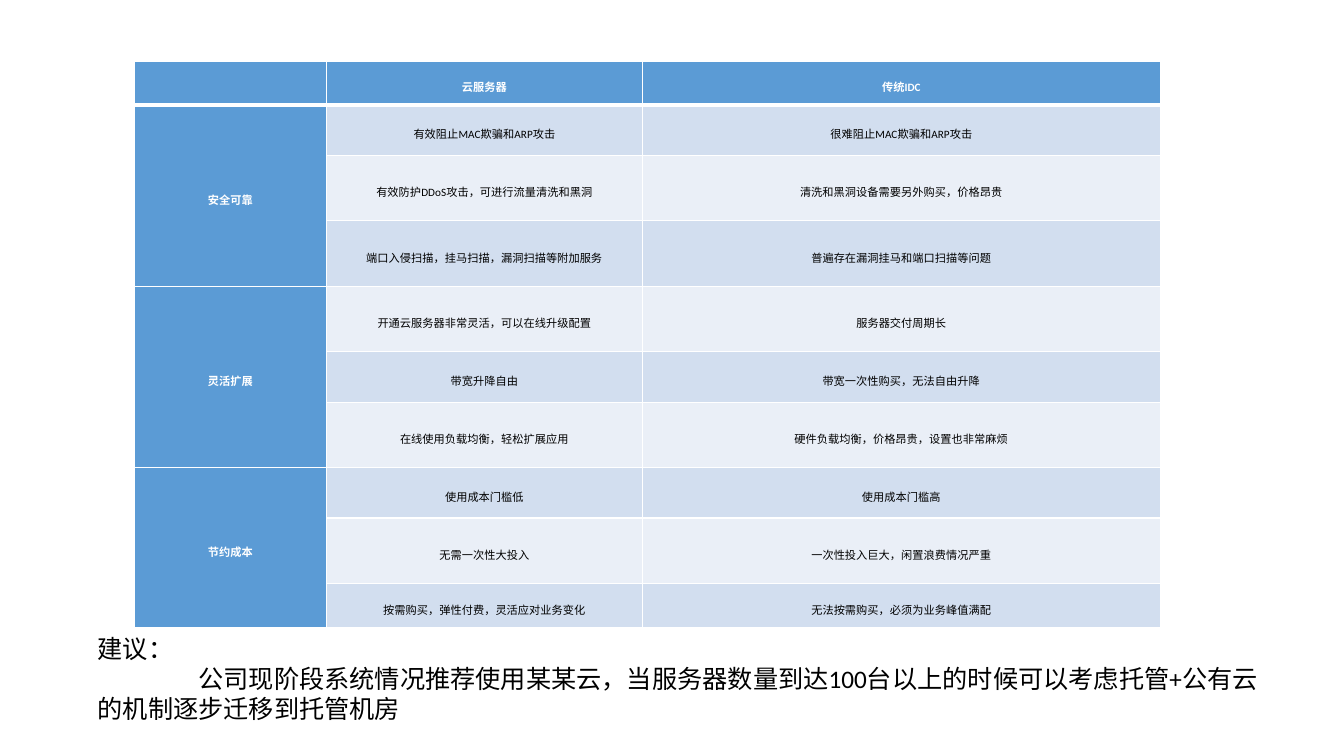
from pptx import Presentation
from pptx.util import Inches, Pt
from pptx.dml.color import RGBColor
from pptx.enum.text import PP_ALIGN, MSO_ANCHOR, MSO_AUTO_SIZE
from pptx.oxml import parse_xml
from pptx.oxml.ns import nsdecls

BLUE, PALE, LIGHT, WHITE, BLACK = "5B9BD5", "D2DEEF", "EAEFF7", "FFFFFF", "000000"


def put(para, text, size=8, color=BLACK, bold=False, align=None, lead=None):
    run = para.add_run()
    run.text = text
    run.font.name, run.font.size, run.font.bold = "Calibri", Pt(size), bold
    run.font.color.rgb = RGBColor.from_string(color)
    para.alignment = align
    if lead:
        para.line_spacing = Pt(lead)


def paint(cell, color, base=1):
    # White borders come first, then the fill
    props = cell._tc.get_or_add_tcPr()
    for side, width in zip("LRTB", (1, 1, 1, base)):
        props.append(parse_xml(
            f'<a:ln{side} {nsdecls("a")} w="{Pt(width)}"><a:solidFill>'
            f'<a:srgbClr val="{WHITE}"/></a:solidFill></a:ln{side}>'))
    cell.fill.solid()
    cell.fill.fore_color.rgb = RGBColor.from_string(color)


deck = Presentation()
deck.slide_width, deck.slide_height = Inches(13.33), Inches(7.5)
slide = deck.slides.add_slide(deck.slide_layouts[6])

# Comparison table
rows = [
    ("", "云服务器", "传统IDC"),
    ("安全可靠", "有效阻止MAC欺骗和ARP攻击", "很难阻止MAC欺骗和ARP攻击"),
    ("", "有效防护DDoS攻击，可进行流量清洗和黑洞", "清洗和黑洞设备需要另外购买，价格昂贵"),
    ("", "端口入侵扫描，挂马扫描，漏洞扫描等附加服务", "普遍存在漏洞挂马和端口扫描等问题"),
    ("灵活扩展", "开通云服务器非常灵活，可以在线升级配置", "服务器交付周期长"),
    ("", "带宽升降自由", "带宽一次性购买，无法自由升降"),
    ("", "在线使用负载均衡，轻松扩展应用", "硬件负载均衡，价格昂贵，设置也非常麻烦"),
    ("节约成本", "使用成本门槛低", "使用成本门槛高"),
    ("", "无需一次性大投入", "一次性投入巨大，闲置浪费情况严重"),
    ("", "按需购买，弹性付费，灵活应对业务变化", "无法按需购买，必须为业务峰值满配"),
]
wide = (1.91, 3.13, 5.14)
high = (0.43, 0.5, 0.65, 0.65, 0.65, 0.5, 0.65, 0.5, 0.65, 0.42)
grid = slide.shapes.add_table(len(rows), len(wide), Inches(1.33), Inches(0.61),
                              Inches(sum(wide)), Inches(sum(high))).table
for col, width in zip(grid.columns, wide):
    col.width = Inches(width)
for row, height in zip(grid.rows, high):
    row.height = Inches(height)
for top in (1, 4, 7):
    grid.cell(top, 0).merge(grid.cell(top + 2, 0))

for r, row in enumerate(rows):
    for c, text in enumerate(row):
        cell = grid.cell(r, c)
        head = r == 0 or c == 0
        paint(cell, BLUE if head else PALE if r % 2 else LIGHT, 3 if r == 0 else 1)
        cell.vertical_anchor = MSO_ANCHOR.MIDDLE
        cell.margin_left = cell.margin_right = Inches(0.06 if head else 0.12)
        cell.margin_top = cell.margin_bottom = Inches(0.06 if head else 0.1)
        if text:
            put(cell.text_frame.paragraphs[0], text, color=WHITE if head else BLACK,
                bold=head, align=PP_ALIGN.CENTER, lead=16.8)

# Advice below the table
frame = slide.shapes.add_textbox(Inches(0.87), Inches(6.23),
                                 Inches(11.79), Inches(1.01)).text_frame
frame.word_wrap = True
frame.auto_size = MSO_AUTO_SIZE.SHAPE_TO_FIT_TEXT
put(frame.paragraphs[0], "建议：", size=18)
body = frame.add_paragraph()
put(body, "公司现阶段系统情况推荐使用某某云，当服务器数量到达100台以上的时候"
    "可以考虑托管+公有云的机制逐步迁移到托管机房", size=18)
body._p.get_or_add_pPr().set("indent", str(Inches(1)))

deck.save("out.pptx")
